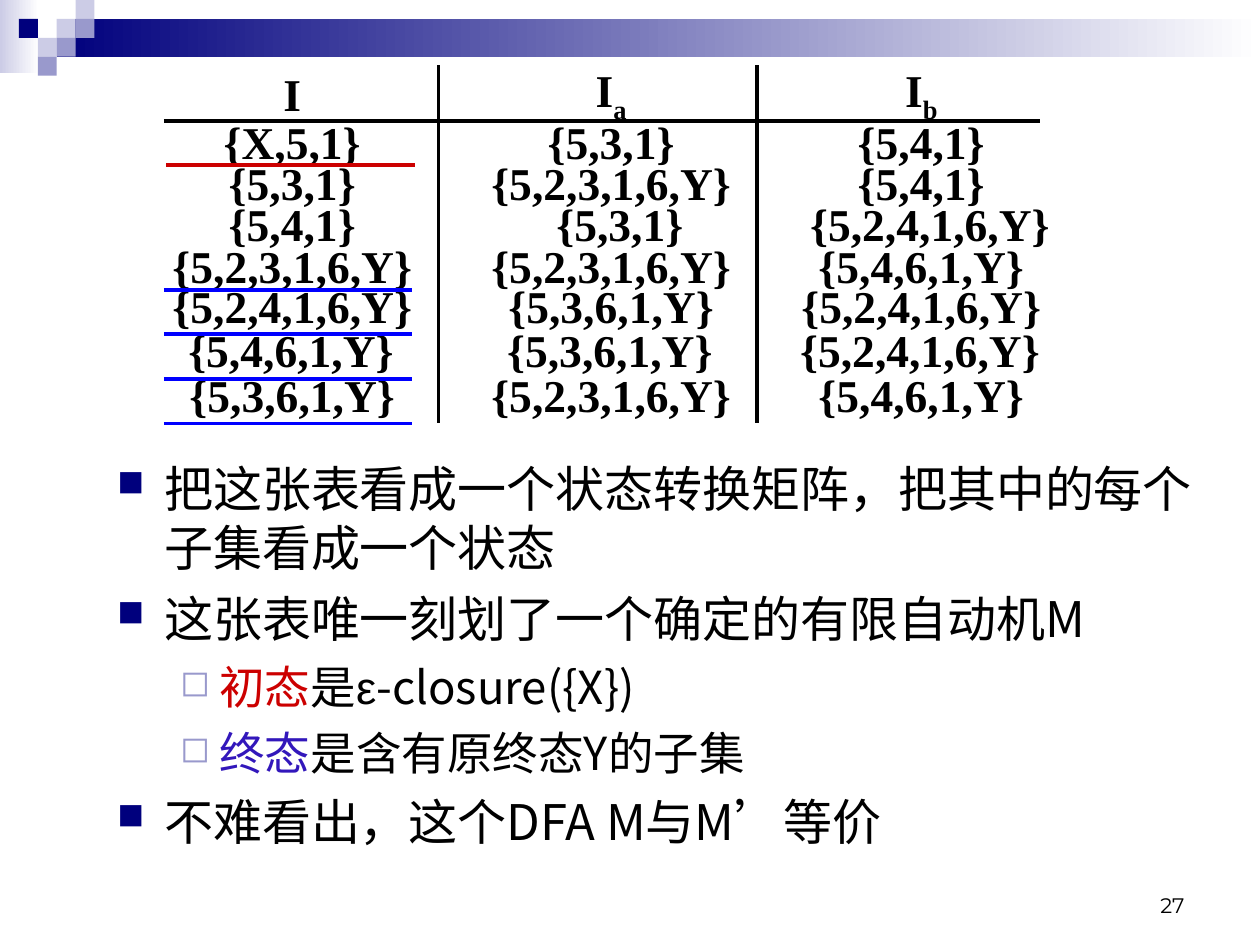
from lxml import etree
from pptx import Presentation
from pptx.dml.color import RGBColor
from pptx.enum.shapes import MSO_CONNECTOR, MSO_SHAPE
from pptx.enum.text import MSO_ANCHOR, PP_ALIGN
from pptx.oxml.ns import qn
from pptx.util import Pt

RECTANGLE, STRAIGHT = MSO_SHAPE.RECTANGLE, MSO_CONNECTOR.STRAIGHT
TOP, MIDDLE, BOTTOM = MSO_ANCHOR.TOP, MSO_ANCHOR.MIDDLE, MSO_ANCHOR.BOTTOM
LEFT, CENTER, RIGHT = PP_ALIGN.LEFT, PP_ALIGN.CENTER, PP_ALIGN.RIGHT

COLORS = {"black": "000000", "white": "FFFFFF", "navy": "00007D", "pale": "CCCCE6",
          "lilac": "9999CC", "red": "CC0000", "blue": "0000FF", "violet": "3217BB"}
SANS, SERIF, GREEK, NUMERALS = "Noto Sans CJK SC", "Times New Roman", "Arial", "Montserrat"

# Content: transition table, each heading with its subscript
HEADINGS = [("I", ""), ("I", "a"), ("I", "b")]
STATES = [
    ("{X,5,1}", "{5,3,1}", "{5,4,1}"),
    ("{5,3,1}", "{5,2,3,1,6,Y}", "{5,4,1}"),
    ("{5,4,1}", "{5,3,1}", "{5,2,4,1,6,Y}"),
    ("{5,2,3,1,6,Y}", "{5,2,3,1,6,Y}", "{5,4,6,1,Y}"),
    ("{5,2,4,1,6,Y}", "{5,3,6,1,Y}", "{5,2,4,1,6,Y}"),
    ("{5,4,6,1,Y}", "{5,3,6,1,Y}", "{5,2,4,1,6,Y}"),
    ("{5,3,6,1,Y}", "{5,2,3,1,6,Y}", "{5,4,6,1,Y}"),
]
COLUMN_LEFTS = [88.5, 270.7, 447.9]
ROW_TOPS = [41.6, 69, 92.4, 116, 139.5, 162.9, 188, 213.7]
CELL_WIDTH, CELL_HEIGHT = 157, 23.6
NUDGES = {(3, 1): 5, (3, 2): 5, (6, 0): -0.7, (6, 1): -0.7, (6, 2): -0.7}

# Content: points as (level, runs of text, colour, font)
POINTS = [
    (0, [("把这张表看成一个状态转换矩阵，把其中的每个子集看成一个状态", "black", SANS)]),
    (0, [("这张表唯一刻划了一个确定的有限自动机M", "black", SANS)]),
    (1, [("初态", "red", SANS), ("是", "black", SANS), ("ε", "black", GREEK),
         ("-closure({X})", "black", SANS)]),
    (1, [("终态", "violet", SANS), ("是含有原终态Y的子集", "black", SANS)]),
    (0, [("不难看出，这个DFA M与M’等价", "black", SANS)]),
]
LEVELS = [
    {"size": 28, "before": 7, "margin": 27, "hang": 27, "bullet": "■", "color": "navy", "scale": 75},
    {"size": 26, "before": 6.5, "margin": 58.5, "hang": 22.5, "bullet": "◻", "color": "lilac", "scale": 80},
]

# Decoration: squares on a grid as (column, row, colour)
SQUARE = 10.8
SQUARES = [(3, 1, "pale"), (4, 0, "pale"), (4, 1, "lilac"), (2, 2, "pale"),
           (1, 1, "navy"), (3, 2, "lilac"), (2, 3, "lilac")]

# Lines as (x1, y1, x2, y2, colour)
RULES = [(93.6, 69, 594, 69, "black"), (250.6, 37.4, 250.6, 242, "black"),
         (432.7, 37.4, 432.7, 242, "black")]
UNDERLINES = [(95, 94.3, 237, 94.3, "red")] + [
    (93.6, y, 235.4, y, "blue") for y in (165.6, 190.8, 216.7, 242)]


def rgb(name):
    return RGBColor.from_string(COLORS[name])


def add_block(slide, left, top, width, height, *colors):
    block = slide.shapes.add_shape(RECTANGLE, Pt(left), Pt(top), Pt(width), Pt(height))
    block.shadow.inherit = False
    block.line.fill.background()
    if len(colors) == 1:
        block.fill.solid()
        block.fill.fore_color.rgb = rgb(colors[0])
        return
    block.fill.gradient()
    block.fill.gradient_angle = 0
    for stop, position, color in zip(block.fill.gradient_stops, (0, 1), colors):
        stop.position = position
        stop.color.rgb = rgb(color)


def add_line(slide, x1, y1, x2, y2, color):
    line = slide.shapes.add_connector(STRAIGHT, Pt(x1), Pt(y1), Pt(x2), Pt(y2))
    line.line.color.rgb = rgb(color)
    line.line.width = Pt(2.25)
    etree.SubElement(line._element.spPr, qn("a:effectLst"))


def add_text(slide, left, top, width, height, anchor, align, wrap=True):
    frame = slide.shapes.add_textbox(Pt(left), Pt(top), Pt(width), Pt(height)).text_frame
    frame.word_wrap = wrap
    frame.vertical_anchor = anchor
    frame.paragraphs[0].alignment = align
    return frame


def set_font(font, name, size, color="black", bold=False):
    font.name, font.size, font.bold = name, Pt(size), bold
    font.color.rgb = rgb(color)


def add_cell(slide, row, column, text, subscript=""):
    left = COLUMN_LEFTS[column] + NUDGES.get((row, column), 0)
    frame = add_text(slide, left, ROW_TOPS[row], CELL_WIDTH, CELL_HEIGHT, MIDDLE, CENTER, False)
    paragraph = frame.paragraphs[0]
    set_font(paragraph.font, SERIF, 26, bold=True)
    paragraph.add_run().text = text
    if subscript:
        index = paragraph.add_run()
        index.text = subscript
        index.font._element.set("baseline", "-25000")


def add_bullet(paragraph, level):
    props = paragraph._p.get_or_add_pPr()
    props.set("marL", str(Pt(level["margin"])))
    props.set("indent", str(-Pt(level["hang"])))
    color = etree.SubElement(props, qn("a:buClr"))
    etree.SubElement(color, qn("a:srgbClr"), val=COLORS[level["color"]])
    etree.SubElement(props, qn("a:buSzPct"), val=str(level["scale"] * 1000))
    etree.SubElement(props, qn("a:buChar"), char=level["bullet"])


def add_points(slide):
    frame = add_text(slide, 59.8, 258.5, 629.3, 244, TOP, LEFT)
    for number, (depth, runs) in enumerate(POINTS):
        level = LEVELS[depth]
        paragraph = frame.add_paragraph() if number else frame.paragraphs[0]
        paragraph.level = depth
        if number:
            paragraph.space_before = Pt(level["before"])
        add_bullet(paragraph, level)
        paragraph.font.size = Pt(level["size"])
        for text, color, font_name in runs:
            run = paragraph.add_run()
            run.text = text
            run.font.name = font_name
            run.font.color.rgb = rgb(color)
            etree.SubElement(run.font._element, qn("a:ea"), typeface=SANS)


def main():
    deck = Presentation()
    deck.slide_width, deck.slide_height = Pt(720), Pt(540)
    slide = deck.slides.add_slide(deck.slide_layouts[6])

    # Header band and squares
    add_block(slide, 0, 0, 22.3, 41.8, "pale", "white")
    add_block(slide, 3 * SQUARE, SQUARE, 720 - 3 * SQUARE, 2 * SQUARE, "navy", "white")
    for column, row, color in SQUARES:
        add_block(slide, column * SQUARE, row * SQUARE, SQUARE, SQUARE, color)

    # Page number
    page = add_text(slide, 516, 492, 168, 36, BOTTOM, RIGHT).paragraphs[0]
    page.text = "27"
    set_font(page.font, NUMERALS, 12)

    add_points(slide)

    # Transition table
    for rule in RULES:
        add_line(slide, *rule)
    for column, (symbol, subscript) in enumerate(HEADINGS):
        add_cell(slide, 0, column, symbol, subscript)
    for row, states in enumerate(STATES, start=1):
        for column, state in enumerate(states):
            add_cell(slide, row, column, state)

    # Start state and final states
    for underline in UNDERLINES:
        add_line(slide, *underline)

    deck.save("out.pptx")


if __name__ == "__main__":
    main()
